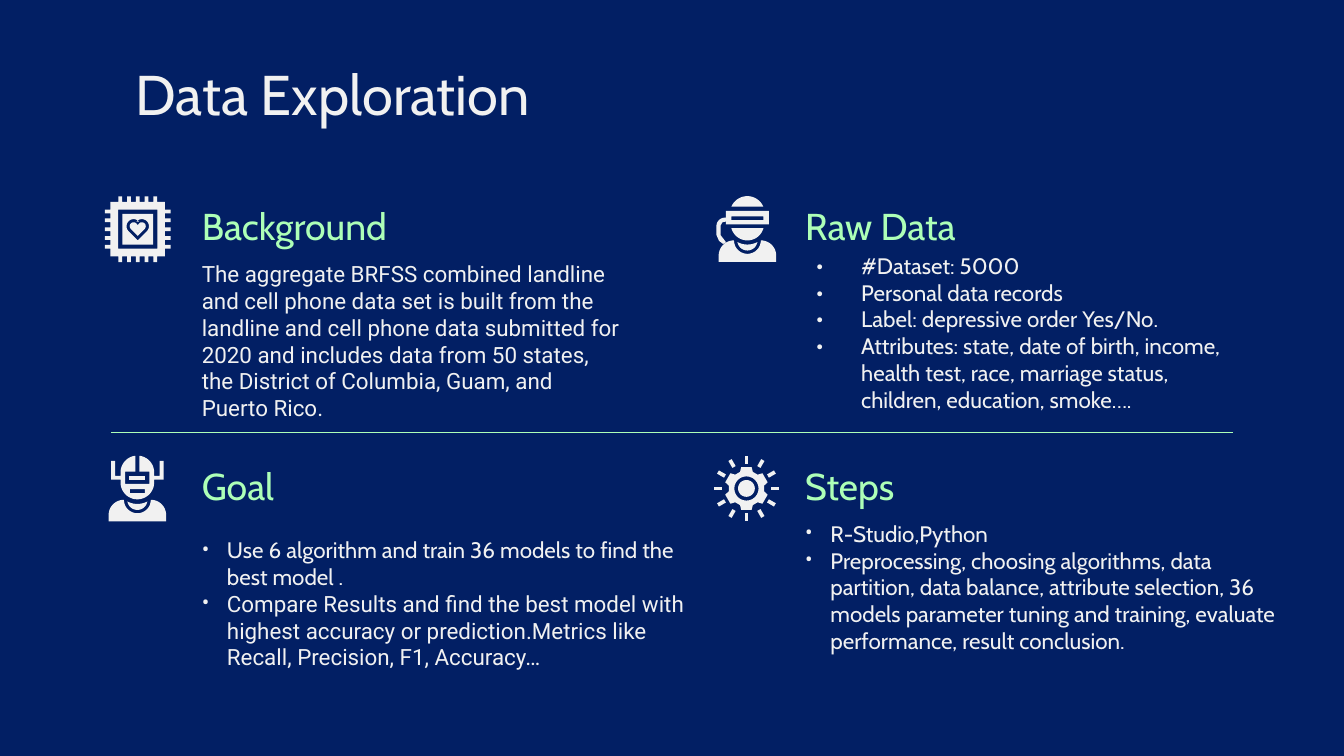
from dataclasses import dataclass

from lxml.etree import SubElement
from pptx import Presentation
from pptx.dml.color import RGBColor
from pptx.enum.shapes import MSO_CONNECTOR
from pptx.enum.text import MSO_ANCHOR, MSO_AUTO_SIZE, PP_ALIGN
from pptx.oxml.ns import qn
from pptx.util import Pt


@dataclass(frozen=True)
class Theme:
    navy: str = "021F64"
    white: str = "F1F1F1"
    mint: str = "ADFFB7"
    title_size: int = 30
    heading_size: int = 20
    body_size: int = 12
    main_font: str = "Cabin"
    text_font: str = "Roboto"


theme = Theme()


def fill_text(box, paragraphs, size, color, anchor=MSO_ANCHOR.TOP,
              left_margin=0, hang=0, bullet_font=theme.text_font):
    frame = box.text_frame
    frame.word_wrap = True
    frame.auto_size = MSO_AUTO_SIZE.NONE
    frame.vertical_anchor = anchor
    frame.margin_left = frame.margin_right = Pt(7.2)
    frame.margin_top = frame.margin_bottom = Pt(7.2)
    frame.text = "\n".join(text for text, font in paragraphs)
    for para, (text, font) in zip(frame.paragraphs, paragraphs):
        para.alignment = PP_ALIGN.LEFT
        if hang:
            properties = para._p.get_or_add_pPr()
            properties.set("marL", str(Pt(left_margin)))
            properties.set("indent", str(-Pt(hang)))
            bullet_color = SubElement(properties, qn("a:buClr"))
            SubElement(bullet_color, qn("a:srgbClr"), val=theme.white)
            SubElement(properties, qn("a:buFont"), typeface=bullet_font)
            SubElement(properties, qn("a:buChar"), char="•")
        for span in para.runs:
            span.font.name = font
            span.font.size = Pt(size)
            span.font.color.rgb = RGBColor.from_string(color)


def arc(center, radius, start, end):
    steps = 24
    return [center + radius * 1j ** ((start + (end - start) * step / steps) / 90)
            for step in range(steps + 1)]


deck = Presentation()
deck.slide_width, deck.slide_height = Pt(720), Pt(405)
page = deck.slides.add_slide(deck.slide_layouts[5])
page.background.fill.solid()
page.background.fill.fore_color.rgb = RGBColor.from_string(theme.navy)

title = page.shapes.title
title.left, title.top, title.width, title.height = Pt(65.5), Pt(24.5), Pt(607), Pt(45.4)
fill_text(title, [("Data Exploration", theme.main_font)], theme.title_size, theme.white)

left_column, right_column = 101, 424.3
upper_row, lower_row = 104.8, 244.1
headings = [
    ("Background", left_column, upper_row),
    ("Raw Data", right_column, upper_row),
    ("Goal", left_column, lower_row),
    ("Steps", right_column, lower_row),
]
for text, left, top in headings:
    box = page.shapes.add_textbox(Pt(left), Pt(top), Pt(240), Pt(35.3))
    fill_text(box, [(text, theme.main_font)], theme.heading_size, theme.mint, MSO_ANCHOR.BOTTOM)

bodies = [
    (left_column, 132.1, 240, 0, 0, theme.text_font, [
        ("The aggregate BRFSS combined landline and cell phone data set is built from the "
         "landline and cell phone data submitted for 2020 and includes data from 50 states, "
         "the District of Columbia, Guam, and Puerto Rico.", theme.text_font),
    ]),
    (418.3, 127.7, 252, 36, 24, theme.main_font, [
        ("#Dataset: 5000", theme.main_font),
        ("Personal data records", theme.main_font),
        ("Label: depressive order Yes/No.", theme.main_font),
        ("Attributes: state, date of birth, income, health test, race, marriage status, "
         "children, education, smoke….", theme.main_font),
    ]),
    (left_column, 280, 276, 13.5, 13.5, theme.text_font, [
        ("Use 6 algorithm and train 36 models to find the best model .", theme.main_font),
        ("Compare Results and find the best model with highest accuracy or prediction."
         "Metrics like Recall, Precision, F1, Accuracy…", theme.text_font),
    ]),
    (right_column, 271.3, 276, 13.5, 13.5, theme.text_font, [
        ("R-Studio,Python", theme.main_font),
        ("Preprocessing, choosing algorithms, data partition, data balance, attribute "
         "selection, 36 models parameter tuning and training, evaluate performance, "
         "result conclusion.", theme.main_font),
    ]),
]
for left, top, width, left_margin, hang, bullet_font, paragraphs in bodies:
    box = page.shapes.add_textbox(Pt(left), Pt(top), Pt(width), Pt(85))
    fill_text(box, paragraphs, theme.body_size, theme.white,
              left_margin=left_margin, hang=hang, bullet_font=bullet_font)

divider = page.shapes.add_connector(MSO_CONNECTOR.STRAIGHT,
                                    Pt(660.4), Pt(231.8), Pt(59.6), Pt(231.8))
divider.line.color.rgb = RGBColor.from_string(theme.mint)
divider.line.width = Pt(0.75)
SubElement(divider._element.spPr, qn("a:effectLst"))

chip_side = [-14.6 - 14.6j]
for pin in range(-2, 3):
    middle = 4.7 * pin
    chip_side += [middle - 1 - 14.6j, middle - 1 - 17.6j, middle + 1 - 17.6j, middle + 1 - 14.6j]
chip_body = [point * 1j ** turn for turn in range(4) for point in chip_side]
window, screen = [[complex(-half, -half), complex(half, -half),
                   complex(half, half), complex(-half, half)] for half in (10.5, 8.2)]
hearts = []
for radius, start in ((3.8, -140), (2.1, -160)):
    lobe = arc(2.2 - 1.6j, radius, start, 45)
    tip = complex(0, 0.6 + radius * 2 ** 0.5)
    hearts.append(lobe + [tip] + [-point.conjugate() for point in reversed(lobe)])
chip = [[screen, hearts[0]], [hearts[1]], [chip_body, window]]

ray = [-1 - 17.6j, 1 - 17.6j, 1 - 13.3j, -1 - 13.3j]
tooth = [-3.4 - 8.9j, -2.8 - 11.5j, 2.8 - 11.5j, 3.4 - 8.9j]
wheel = [point * 1j ** (turn / 1.5) for turn in range(6) for point in tooth]
gear = [[[point * 1j ** (turn / 3) for point in ray]] for turn in range(12)]
gear += [[arc(0, 4.5, 0, 360)], [wheel, arc(0, 6.5, 0, 360)]]

shoulders = ([-15.4 + 17.6j] + arc(-7.2 + 14.3j, 8.2, 180, 270) + arc(6.1j, 7.2, 180, 0)
             + arc(7.2 + 14.3j, 8.2, 270, 360) + [15.4 + 17.6j])
neck = arc(6.1j, 5.4, 170, 10) + arc(-3.2j, 11.5, 62, 118)
slit = [-4.3 - 6.8j, 4.3 - 6.8j, 4.3 - 4.7j, -4.3 - 4.7j]
mouth = [-4 + 0.4j, 4 + 0.4j, 4 + 2.5j, -4 + 2.5j]
half_head = (arc(-3.2j, 9, 90, 0)
             + [9 - 4.7j, 14 - 4.7j, 14 - 14.8j, 11.9 - 14.8j, 11.9 - 6.8j, 9 - 6.8j]
             + arc(-8.6j, 9, 0, -83) + [1.1 - 9j, 6.5 - 9j, 6.5 - 2.5j])
head = half_head + [-point.conjugate() for point in reversed(half_head)]
robot = [[shoulders], [neck], [slit], [head, mouth]]

strap = ([-11.5 - 6.1j] + arc(-12 - 1.5j, 4.6, 270, 180)
         + [-16.6 + 3.2j, -15.2 + 6.4j, -13 + 8j, -11.5 + 7j,
            -14.4 + 3.2j, -14.4 - 1.8j, -13.4 - 3.6j, -11.5 - 4j])
visor = [-11.5 - 9.7j, 11.5 - 9.7j, 11.5 - 2.5j, -11.5 - 2.5j]
visor_slit = [-8.6 - 6.8j, 8.6 - 6.8j, 8.6 - 4.7j, -8.6 - 4.7j]
headset = [
    [shoulders, strap, visor, visor_slit],
    [neck],
    [arc(-8.3j, 9.3, 203, 337)],
    [arc(-2.8j, 8.9, 15, 165)],
]

icons = [
    (73.8 + 122.8j, chip),
    (399.9 + 261.7j, gear),
    (73.6 + 261.7j, robot),
    (400.4 + 122.7j, headset),
]
for center, pieces in icons:
    icon = page.shapes.add_group_shape()
    for contours in pieces:
        outlines = [[((center + point).real * 100, (center + point).imag * 100)
                     for point in contour] for contour in contours]
        builder = icon.shapes.build_freeform(*outlines[0][0], scale=Pt(1) / 100)
        for index, outline in enumerate(outlines):
            if index:
                builder.move_to(*outline[0])
            builder.add_line_segments(outline[1:], close=True)
        part = builder.convert_to_shape()
        part.shadow.inherit = False
        part.fill.solid()
        part.fill.fore_color.rgb = RGBColor.from_string(theme.white)
        part.line.fill.background()

deck.save("out.pptx")
